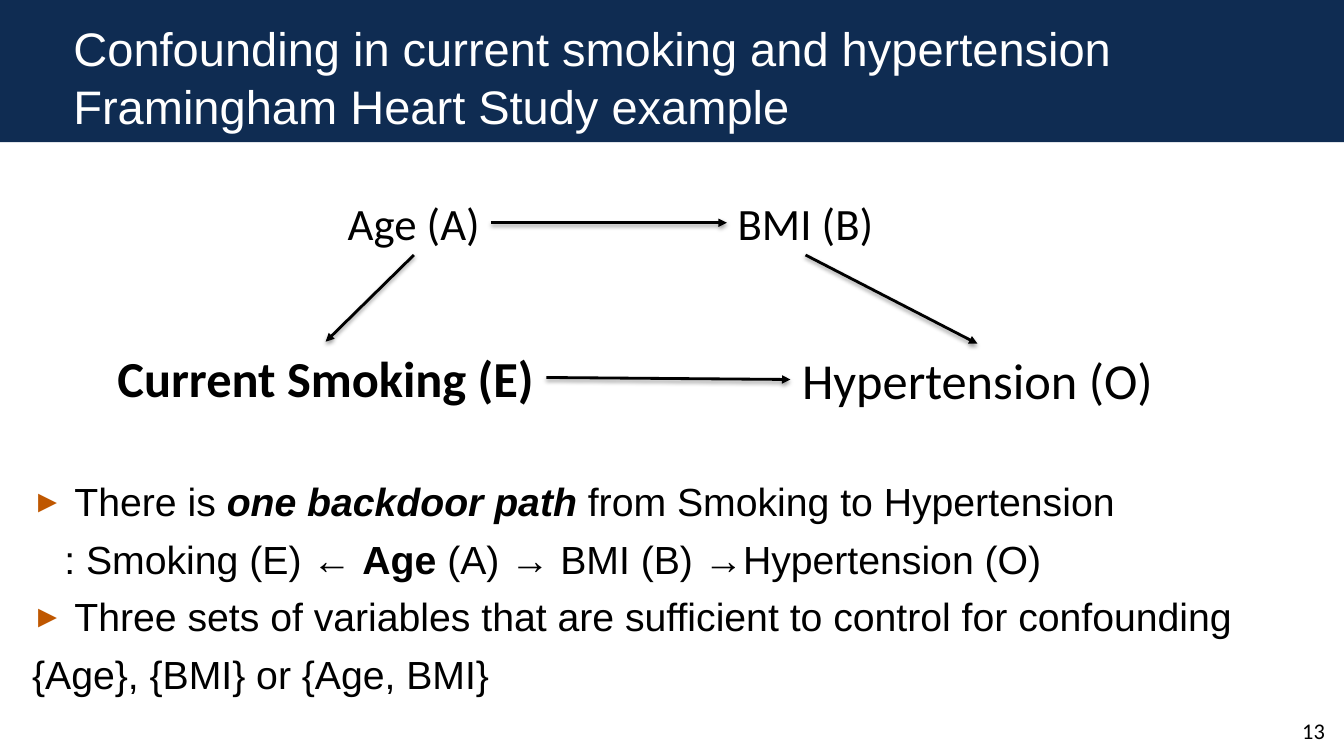
from lxml import etree
from pptx import Presentation
from pptx.dml.color import RGBColor
from pptx.enum.shapes import MSO_CONNECTOR, MSO_SHAPE
from pptx.enum.text import MSO_ANCHOR, PP_ALIGN
from pptx.oxml import parse_xml
from pptx.oxml.ns import nsdecls, qn
from pptx.util import Inches, Pt

STRAIGHT = MSO_CONNECTOR.STRAIGHT
RECTANGLE = MSO_SHAPE.RECTANGLE
TOP, MIDDLE, BOTTOM = MSO_ANCHOR.TOP, MSO_ANCHOR.MIDDLE, MSO_ANCHOR.BOTTOM
LEFT, CENTER, RIGHT = PP_ALIGN.LEFT, PP_ALIGN.CENTER, PP_ALIGN.RIGHT
TOP_SIDE, LEFT_SIDE, BOTTOM_SIDE, RIGHT_SIDE = range(4)


def color(value):
    return RGBColor.from_string(value)


def write(paragraph, text, size, font="Arial", ink="000000", bold=False,
          italic=False, align=LEFT):
    paragraph.alignment = align
    run = paragraph.add_run()
    run.text = text
    run.font.size = Pt(size)
    run.font.name = font
    run.font.color.rgb = color(ink)
    run.font.bold = bold
    run.font.italic = italic


deck = Presentation()
deck.slide_width, deck.slide_height = Inches(13.33), Inches(7.5)
slide = deck.slides.add_slide(deck.slide_layouts[6])
shapes = slide.shapes

banner = shapes.add_shape(RECTANGLE, 0, 0, Inches(13.33), Inches(1.41))
banner.shadow.inherit = False
banner.fill.solid()
banner.fill.fore_color.rgb = color("0F2C52")
banner.line.fill.background()

page_number = shapes.add_textbox(
    Inches(12.33), Inches(6.98), Inches(0.81), Inches(0.4)).text_frame
page_number.margin_left = page_number.margin_right = 0
page_number.margin_top = page_number.margin_bottom = 0
page_number.vertical_anchor = BOTTOM
page_number.word_wrap = True
write(page_number.paragraphs[0], "13", 16, font="Calibri", align=RIGHT)

title = shapes.add_textbox(
    Inches(0.63), Inches(0.12), Inches(12), Inches(1.27)).text_frame
title.vertical_anchor = MIDDLE
title.word_wrap = True
heading = title.paragraphs[0]
heading.line_spacing = 1.03
write(heading, "Confounding in current smoking and hypertension", 33.6, ink="FFFFFF")
heading.add_line_break()
write(heading, "Framingham Heart Study example", 33.6, ink="FFFFFF")

findings = shapes.add_textbox(
    Inches(0.22), Inches(4.69), Inches(12.92), Inches(2.45)).text_frame
findings.vertical_anchor = TOP
findings.word_wrap = True
plain, strong, strong_italic = {}, {"bold": True}, {"bold": True, "italic": True}
statements = [
    (True, 0.42, [("There is ", plain), ("one backdoor path ", strong_italic),
                  ("from Smoking to Hypertension", plain)]),
    (False, 0.32, [(": Smoking (E) ← ", plain), ("Age", strong),
                   (" (A) → BMI (B) →Hypertension (O)", plain)]),
    (True, 0.42, [("Three sets of variables that are sufficient to control for "
                   "confounding", plain)]),
    (False, 0, [("{Age}, {BMI} or {Age, BMI}", plain)]),
]
for position, (bulleted, indent, parts) in enumerate(statements):
    statement = findings.add_paragraph() if position else findings.paragraphs[0]
    properties = statement._p.get_or_add_pPr()
    properties.set("marL", str(Inches(indent)))
    properties.set("indent", str(-Inches(indent) if bulleted else 0))
    if bulleted:
        bullet_color = etree.SubElement(properties, qn("a:buClr"))
        etree.SubElement(bullet_color, qn("a:srgbClr"), val="BF5700")
        etree.SubElement(properties, qn("a:buSzPct"), val="80000")
        etree.SubElement(properties, qn("a:buFont"), typeface="Arial")
        etree.SubElement(properties, qn("a:buChar"), char="►")
    else:
        etree.SubElement(properties, qn("a:buNone"))
    if position:
        statement.space_before = Pt(7.4)
    for text, emphasis in parts:
        write(statement, text, 28, **emphasis)

variables = {}
for name, left, top, width, height, size, bold in [
    ("Current Smoking (E)", 1.04, 3.39, 4.38, 0.71, 36, True),
    ("Hypertension (O)", 7.84, 3.41, 3.71, 0.71, 36, False),
    ("Age (A)", 3.34, 1.89, 1.53, 0.64, 32, False),
    ("BMI (B)", 7.21, 1.89, 1.56, 0.64, 32, False),
]:
    variable = shapes.add_textbox(
        Inches(left), Inches(top), Inches(width), Inches(height))
    variable.text_frame.word_wrap = False
    write(variable.text_frame.paragraphs[0], name, size, font="Calibri",
          bold=bold, align=CENTER)
    variables[name] = variable

for cause, cause_side, effect, effect_side in [
    ("Current Smoking (E)", RIGHT_SIDE, "Hypertension (O)", LEFT_SIDE),
    ("Age (A)", BOTTOM_SIDE, "Current Smoking (E)", TOP_SIDE),
    ("Age (A)", RIGHT_SIDE, "BMI (B)", LEFT_SIDE),
    ("BMI (B)", BOTTOM_SIDE, "Hypertension (O)", TOP_SIDE),
]:
    arrow = shapes.add_connector(STRAIGHT, 0, 0, 0, 0)
    arrow.begin_connect(variables[cause], cause_side)
    arrow.end_connect(variables[effect], effect_side)
    arrow.line.color.rgb = color("000000")
    arrow.line.width = Pt(2)
    etree.SubElement(arrow.line._get_or_add_ln(), qn("a:tailEnd"), type="triangle")
    arrow._element.spPr.append(parse_xml(
        f'<a:effectLst {nsdecls("a")}><a:outerShdw blurRad="{Pt(3.1)}" '
        f'dist="{Pt(1.6)}" dir="5400000" rotWithShape="0"><a:srgbClr val="000000">'
        '<a:alpha val="38000"/></a:srgbClr></a:outerShdw></a:effectLst>'))

deck.save("out.pptx")
